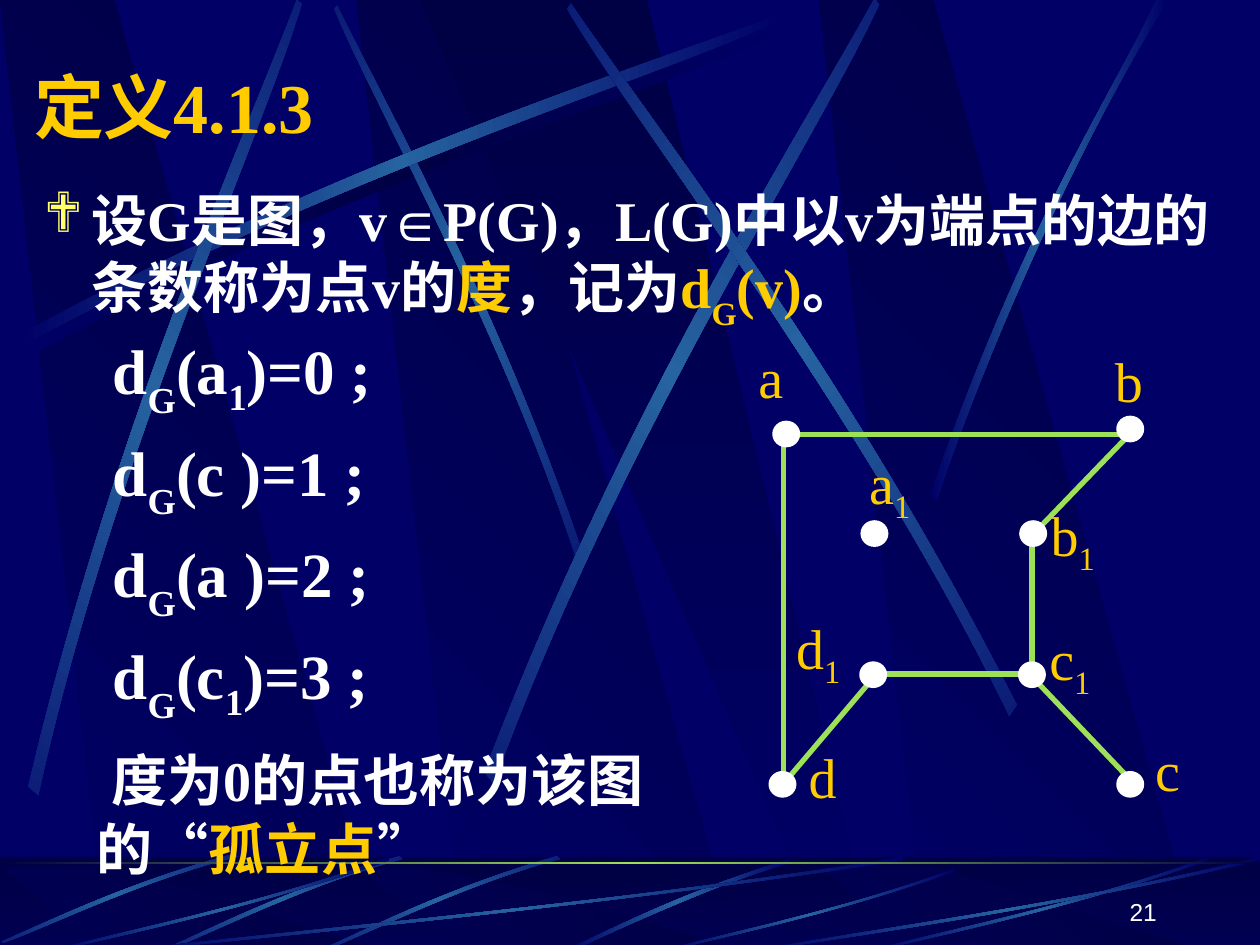
from pptx import Presentation
from pptx.dml.color import RGBColor
from pptx.enum.shapes import MSO_CONNECTOR, MSO_SHAPE
from pptx.enum.text import MSO_ANCHOR, PP_ALIGN
from pptx.oxml import parse_xml
from pptx.oxml.ns import qn
from pptx.util import Inches, Pt
from lxml import etree

STRAIGHT = MSO_CONNECTOR.STRAIGHT
RECTANGLE, OVAL = MSO_SHAPE.RECTANGLE, MSO_SHAPE.OVAL
MIDDLE, BOTTOM = MSO_ANCHOR.MIDDLE, MSO_ANCHOR.BOTTOM
LEFT, RIGHT = PP_ALIGN.LEFT, PP_ALIGN.RIGHT
NAVY = RGBColor(0x00, 0x00, 0x66)
MIDNIGHT = RGBColor(0x00, 0x00, 0x44)
STEEL = RGBColor(0x26, 0x63, 0xA0)
GREEN = RGBColor(0x9C, 0xE1, 0x57)
GOLD = RGBColor(0xFF, 0xCC, 0x00)
LEMON = RGBColor(0xFF, 0xFF, 0x66)
WHITE = RGBColor(0xFF, 0xFF, 0xFF)
SERIF, SANS = "Times New Roman", "Arial"
DRAWING_NS = "http://schemas.openxmlformats.org/drawingml/2006/main"

TITLE = "定义4.1.3"
PAGE_NUMBER = "21"
DEFINITION = [
    ("设G是图，v∈P(G)，L(G)中以v为端点的边的条数称为点v的", WHITE, 0),
    ("度", GOLD, 0), ("，记为", WHITE, 0), ("d", GOLD, 0),
    ("G", GOLD, -30), ("(v)", GOLD, 0), ("。", WHITE, 0),
]
DEGREES = [("(a", "1", ")=0 ;"), ("(c )=1 ;",), ("(a )=2 ;",), ("(c", "1", ")=3 ;")]
ISOLATED = [("度为0的点也称为该图的“", WHITE, 0), ("孤立点", GOLD, 0), ("”", WHITE, 0)]

EDGES = [
    (6.99, 5.31, 6.21, 6.23), (8.19, 4.33, 8.19, 5.28), (7.03, 5.35, 8.19, 5.35),
    (6.34, 3.45, 8.89, 3.45), (6.22, 3.49, 6.22, 6.23), (8.19, 4.25, 9.01, 3.4),
    (8.19, 5.37, 9.01, 6.23),
]
VERTICES = [
    (6.85, 4.15), (6.84, 5.27), (8.1, 5.27), (8.11, 4.15),
    (8.88, 6.14), (8.88, 3.32), (6.15, 3.36), (6.12, 6.14),
]
VERTEX_LABELS = [
    ("a", "", 5.92, 2.67, 0.4), ("b", "", 8.75, 2.7, 0.42),
    ("c", "", 9.07, 5.79, 0.4), ("d", "", 6.32, 5.84, 0.42),
    ("d", "1", 6.22, 4.82, 0.57), ("a", "1", 6.8, 3.51, 0.54),
    ("b", "1", 8.24, 3.92, 0.57), ("c", "1", 8.23, 4.91, 0.54),
]

SLAT = [(0.28, 1), (1, 1), (0.3, 0), (0, 0)]
WEDGE = [(0, 0), (0.9, 1), (1, 1), (0.5, 0)]
PANELS = [(SLAT, 2.83, 3.02), (SLAT, 0, 3.02), (SLAT, 6.5, 3.02), (WEDGE, 3.33, 3.61)]
STREAK = [(0, 0.96), (0.43, 0.43), (0.83, 0.15), (1, 0),
          (1, 0.02), (0.84, 0.19), (0.39, 0.5), (0, 1)]
RAY = [(0, 0.99), (0.4, 0.44), (0.79, 0.17), (0.95, 0),
       (1, 0), (0.52, 0.37), (0.16, 0.81), (0.03, 1)]
BEND = [(0.99, 0), (0.5, 0.37), (0.16, 0.82), (0, 0.99),
        (0.03, 1), (0.23, 0.77), (0.68, 0.25), (1, 0.04)]
ROOT = [(1, 0.04), (0.57, 0.57), (0.17, 0.85), (0.01, 1),
        (0, 0.99), (0.17, 0.81), (0.62, 0.51), (1, 0)]
SKY_BANDS = [
    (STREAK, (0.2, 0.18, 6.08, 2.67), 0, False, MIDNIGHT),
    (STREAK, (1.41, 1.35, 4.42, 1.75), 45, True, STEEL),
    (STREAK, (0.14, 0.1, 6.08, 2.67), 0, False, STEEL),
    (STREAK, (-1.71, 1.82, 6.08, 2.67), 311.7, False, STEEL),
    (STREAK, (2.31, 1.6, 6.24, 3.01), 321.6, False, STEEL),
    (STREAK, (3.23, 1.52, 6.08, 2.67), 34.7, True, STEEL),
    (RAY, (7.38, 0, 1.89, 3.97), 0, False, STEEL),
]
FLOOR_BANDS = [
    (BEND, (4.48, 6.82, 1.8, 0.73), 0, False, STEEL),
    (STREAK, (2.58, 6.76, 1.84, 0.83), 315, True, STEEL),
    (STREAK, (1.33, 6.76, 1.84, 0.83), 315, True, STEEL),
    (STREAK, (0.05, 6.71, 1.8, 0.85), 315, True, STEEL),
    (ROOT, (1, 6.8, 6.17, 0.75), 0, False, STEEL),
    (ROOT, (0.42, 6.8, 2.67, 0.75), 0, False, STEEL),
    (ROOT, (5.27, 6.89, 2.31, 0.66), 0, False, STEEL),
    (ROOT, (6.92, 6.8, 2.67, 0.75), 0, False, STEEL),
    (ROOT, (6, 6.8, 4, 0.75), 0, False, STEEL),
]
FLOOR_BOX = (0, 6.8, 10, 0.75)


def outline(shapes, unit_points, box):
    left, top, width, height = box
    points = [(Inches(left + x * width), Inches(top + y * height)) for x, y in unit_points]
    builder = shapes.build_freeform(*points[0])
    builder.add_line_segments(points[1:], close=True)
    return builder.convert_to_shape()


def curve_sides(band):
    segments = list(band._element.iter(qn("a:lnTo")))
    for side in (segments[0:3], segments[4:7]):
        curve = etree.Element(qn("a:cubicBezTo"))
        side[0].addprevious(curve)
        for segment in side:
            curve.append(segment[0])
            segment.getparent().remove(segment)


def preset(shapes, kind, box):
    return shapes.add_shape(kind, *map(Inches, box))


def paint_gradient(shape, colors, angle):
    shape.shadow.inherit = False
    shape.line.fill.background()
    shape.fill.background()
    stops = "".join(
        f'<a:gs pos="{round(100000 * i / (len(colors) - 1))}"><a:srgbClr val="{color}"/></a:gs>'
        for i, color in enumerate(colors))
    gradient = parse_xml(
        f'<a:gradFill xmlns:a="{DRAWING_NS}" rotWithShape="1"><a:gsLst>{stops}</a:gsLst>'
        f'<a:lin ang="{angle * 60000}" scaled="0"/></a:gradFill>')
    properties = shape._element.spPr
    properties.replace(properties.find(qn("a:noFill")), gradient)


def draw_panels(shapes, top, height):
    for unit, left, width in PANELS:
        panel = outline(shapes, unit, (left, top, width, height))
        if unit is SLAT:
            paint_gradient(panel, [NAVY, MIDNIGHT], 315)
        else:
            paint_gradient(panel, [MIDNIGHT, NAVY], 90)


def draw_bands(shapes, bands):
    for unit, box, rotation, mirrored, glow in bands:
        points = [(1 - x, y) for x, y in unit] if mirrored else unit
        band = outline(shapes, points, box)
        curve_sides(band)
        band.rotation = rotation
        paint_gradient(band, [NAVY, glow, NAVY], 0)


def draw_backdrop(shapes):
    draw_panels(shapes, 0, 7.52)
    draw_bands(shapes, SKY_BANDS)
    paint_gradient(preset(shapes, RECTANGLE, FLOOR_BOX), [MIDNIGHT, NAVY], 90)
    draw_panels(shapes, 6.88, 0.66)
    veil = preset(shapes, RECTANGLE, FLOOR_BOX)
    veil.shadow.inherit = False
    veil.line.fill.background()
    veil.fill.solid()
    veil.fill.fore_color.rgb = MIDNIGHT
    veil_color = veil._element.spPr.find(qn("a:solidFill"))[0]
    etree.SubElement(veil_color, qn("a:alpha")).set("val", "50000")
    draw_bands(shapes, FLOOR_BANDS)
    horizon = preset(shapes, RECTANGLE, (0, 6.84, 10, 0.02))
    paint_gradient(horizon, [MIDNIGHT, GREEN, MIDNIGHT], 0)


def style(run, size, color, bold=False, font=SERIF, baseline=0):
    run.font.size, run.font.bold, run.font.name = Pt(size), bold, font
    run.font.color.rgb = color
    if baseline:
        run.font._element.set("baseline", str(baseline * 1000))


def write(paragraph, pieces, size, bold=False):
    for text, color, baseline in pieces:
        run = paragraph.add_run()
        run.text = text
        style(run, size, color, bold, baseline=baseline)


def text_frame(shapes, box, wrap=True):
    frame = shapes.add_textbox(*map(Inches, box)).text_frame
    frame.word_wrap = wrap
    return frame


def draw_graph(shapes):
    for ends in EDGES:
        edge = shapes.add_connector(STRAIGHT, *map(Inches, ends))
        edge.line.color.rgb, edge.line.width = GREEN, Pt(3)
        etree.SubElement(edge._element.spPr, qn("a:effectLst"))
    for left, top in VERTICES:
        vertex = preset(shapes, OVAL, (left, top, 0.18, 0.17))
        vertex.shadow.inherit = False
        vertex.fill.solid()
        vertex.fill.fore_color.rgb = vertex.line.color.rgb = WHITE
        vertex.line.width = Pt(3)
    for letter, index, left, top, width in VERTEX_LABELS:
        label = text_frame(shapes, (left, top, width, 0.63), wrap=False)
        pieces = [(letter, GOLD, 0)] + ([(index, GOLD, -25)] if index else [])
        write(label.paragraphs[0], pieces, 32)


prs = Presentation()
prs.slide_width, prs.slide_height = Inches(10), Inches(7.5)
slide = prs.slides.add_slide(prs.slide_layouts[5])
slide.background.fill.solid()
slide.background.fill.fore_color.rgb = NAVY

title = slide.shapes.title
title.left, title.top, title.width, title.height = map(Inches, (0.17, 0.45, 8.5, 0.77))
title.text_frame.text = TITLE
title.text_frame.vertical_anchor = MIDDLE
title.text_frame.paragraphs[0].alignment = LEFT
style(title.text_frame.paragraphs[0].runs[0], 40, GOLD, True)

definition = text_frame(slide.shapes, (0.25, 1.42, 9.58, 1.5)).paragraphs[0]
bullet = definition._p.get_or_add_pPr()
bullet.set("marL", str(Inches(0.38)))
bullet.set("indent", str(-Inches(0.38)))
bullet_color = etree.SubElement(bullet, qn("a:buClr"))
etree.SubElement(bullet_color, qn("a:srgbClr")).set("val", str(LEMON))
etree.SubElement(bullet, qn("a:buFont")).set("typeface", "Wingdings")
etree.SubElement(bullet, qn("a:buChar")).set("char", "❖")
write(definition, DEFINITION, 32, True)

draw_graph(slide.shapes.add_group_shape().shapes)

examples = text_frame(slide.shapes, (0.67, 2.58, 4.58, 4.25))
for number, argument in enumerate(DEGREES):
    line = examples.add_paragraph() if number else examples.paragraphs[0]
    if number:
        line.space_before = Pt(7.2)
    pieces = zip((" d", "G") + argument, (0, -30, 0, -25, 0))
    write(line, [(text, WHITE, baseline) for text, baseline in pieces], 36, True)
remark = examples.add_paragraph()
remark.space_before = Pt(7.2)
write(remark, [(" ", WHITE, 0)], 36, True)
write(remark, ISOLATED, 32, True)

footer = text_frame(slide.shapes, (7.2, 6.9, 2.08, 0.5))
footer.vertical_anchor = BOTTOM
footer.text = PAGE_NUMBER
footer.paragraphs[0].alignment = RIGHT
style(footer.paragraphs[0].runs[0], 14, WHITE, font=SANS)

backdrop = slide.shapes.add_group_shape()
draw_backdrop(backdrop.shapes)
prs.slide_master.shapes._spTree.insert(2, backdrop._element)

prs.save("out.pptx")
